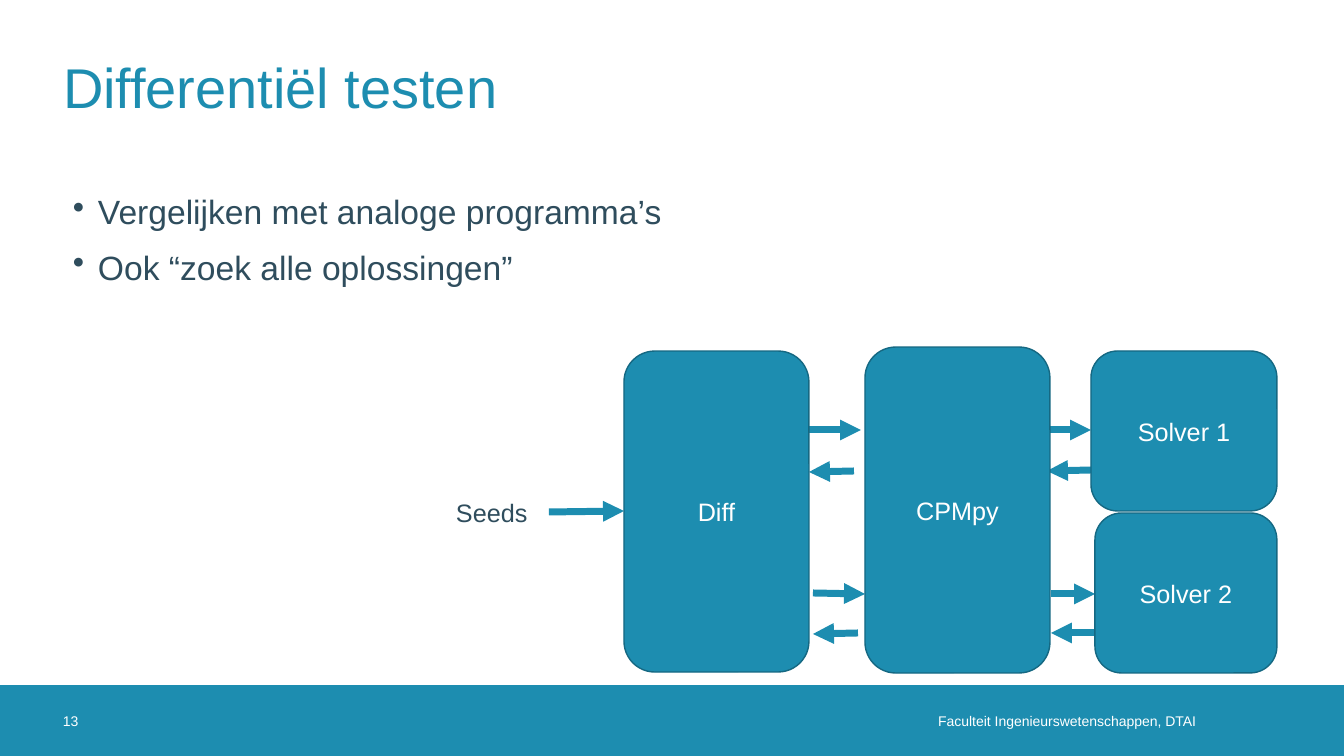
from pptx import Presentation
from pptx.dml.color import RGBColor
from pptx.enum.shapes import MSO_CONNECTOR, MSO_SHAPE
from pptx.enum.text import MSO_ANCHOR, MSO_AUTO_SIZE, PP_ALIGN
from pptx.oxml.ns import qn
from pptx.util import Pt
from lxml.etree import SubElement

PX = 914400 / 100.8
THEME = {
    "font": "Arial",
    "teal": RGBColor(0x1D, 0x8D, 0xB0),
    "edge": RGBColor(0x15, 0x68, 0x82),
    "ink": RGBColor(0x2F, 0x4D, 0x5D),
    "white": RGBColor(0xFF, 0xFF, 0xFF),
    "title": 40, "body": 24, "label": 18, "footer": 10,
}


def px(*lengths):
    return [round(length * PX) for length in lengths]


def write(shape, *lines, size="label", color="white", align=PP_ALIGN.LEFT,
          anchor=MSO_ANCHOR.MIDDLE, insets=(10, 5, 10, 5), bullet=False, gap=0):
    frame = shape.text_frame
    frame.word_wrap = True
    frame.auto_size = MSO_AUTO_SIZE.NONE
    frame.vertical_anchor = anchor
    (frame.margin_left, frame.margin_top,
     frame.margin_right, frame.margin_bottom) = px(*insets)
    for i, line in enumerate(lines):
        paragraph = frame.add_paragraph() if i else frame.paragraphs[0]
        if bullet:
            properties = paragraph._p.get_or_add_pPr()
            indent, = px(25)
            properties.set("marL", str(indent))
            properties.set("indent", str(-indent))
            SubElement(properties, qn("a:buChar")).set("char", "•")
        paragraph.alignment = align
        if i:
            paragraph.space_before = Pt(gap)
        run = paragraph.add_run()
        run.text = line
        run.font.name = THEME["font"]
        run.font.size = Pt(THEME[size])
        run.font.color.rgb = THEME[color]


deck = Presentation()
deck.slide_width, deck.slide_height = px(1344, 756)
slide = deck.slides.add_slide(deck.slide_layouts[5])
shapes = slide.shapes

# Footer band
band = shapes.add_shape(MSO_SHAPE.RECTANGLE, *px(0, 685, 1344, 71))
band.shadow.inherit = False
band.fill.solid()
band.fill.fore_color.rgb = THEME["teal"]
band.line.fill.background()
faculty = shapes.add_textbox(*px(665, 685, 551, 71))
write(faculty, "Faculteit Ingenieurswetenschappen, DTAI", size="footer",
      align=PP_ALIGN.RIGHT, insets=(0, 0, 20, 0))
page_number = shapes.add_textbox(*px(63, 685, 72, 71))
write(page_number, "13", size="footer", insets=(0, 0, 0, 0))

# Title and bullets
title = shapes.title
title.left, title.top, title.width, title.height = px(63, 23, 1217, 127)
write(title, "Differentiël testen", size="title", color="teal", insets=(0, 0, 0, 0))
points = shapes.add_textbox(*px(63, 183, 1232, 195))
write(points, "Vergelijken met analoge programma’s", "Ook “zoek alle oplossingen”",
      size="body", color="ink", anchor=MSO_ANCHOR.TOP, insets=(10, 8, 10, 5),
      bullet=True, gap=11)

# Arrows: start x, start y, end x, end y
for x1, y1, x2, y2 in [
    (549, 512, 624, 511),    # seeds to Diff
    (809, 430, 861, 430),    # Diff and CPMpy, first exchange
    (854, 471, 809, 472),
    (813, 593, 865, 594),    # second exchange
    (858, 633, 813, 634),
    (1046, 430, 1091, 430),  # CPMpy and Solver 1
    (1091, 470, 1047, 471),
    (1051, 594, 1095, 594),  # CPMpy and Solver 2
    (1095, 633, 1051, 633),
]:
    arrow = shapes.add_connector(MSO_CONNECTOR.STRAIGHT, *px(x1, y1, x2, y2))
    arrow.line.color.rgb = THEME["teal"]
    arrow.line.width = Pt(5)
    properties = arrow.element.spPr
    SubElement(properties.find(qn("a:ln")), qn("a:tailEnd")).set("type", "triangle")
    SubElement(properties, qn("a:effectLst"))

# Programs under test
for program, *place in [
    ("Diff", 624, 351, 185, 321),
    ("CPMpy", 865, 347, 185, 326),
    ("Solver 1", 1091, 351, 186, 160),
    ("Solver 2", 1095, 513, 182, 160),
]:
    block = shapes.add_shape(MSO_SHAPE.ROUNDED_RECTANGLE, *px(*place))
    block.shadow.inherit = False
    block.fill.solid()
    block.fill.fore_color.rgb = THEME["teal"]
    block.line.color.rgb = THEME["edge"]
    block.line.width = Pt(1)
    write(block, program, align=PP_ALIGN.CENTER)

seeds = shapes.add_textbox(*px(446, 492, 104, 41))
write(seeds, "Seeds", color="ink", anchor=MSO_ANCHOR.TOP)

deck.save("out.pptx")
